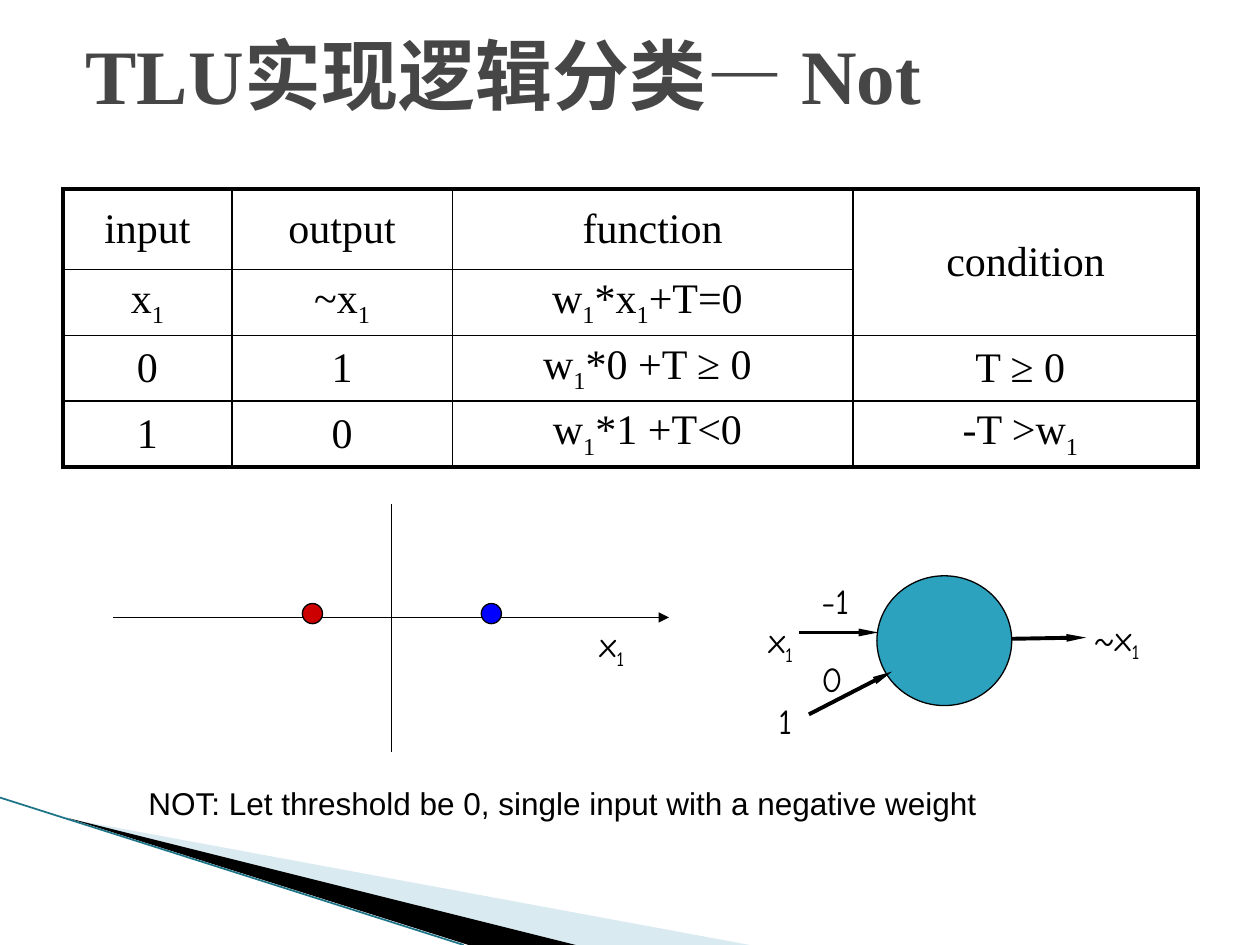
from lxml.etree import SubElement
from pptx import Presentation
from pptx.dml.color import RGBColor
from pptx.enum.shapes import MSO_CONNECTOR, MSO_SHAPE
from pptx.enum.text import MSO_ANCHOR, MSO_AUTO_SIZE, PP_ALIGN
from pptx.oxml import parse_xml
from pptx.oxml.ns import nsdecls, qn
from pptx.util import Pt

PX = 9144
hue = RGBColor.from_string


def write(frame, text, size, face, color="000000", align=PP_ALIGN.LEFT):
    para = frame.paragraphs[0]
    para.alignment = align
    head, *tails = text.split("_")
    para.add_run().text = head
    for tail in tails:
        sub = para.add_run()
        sub.text = tail[0]
        sub._r.get_or_add_rPr().set("baseline", "-25000")
        if tail[1:]:
            para.add_run().text = tail[1:]
    para.font.size = Pt(size)
    para.font.name = face
    para.font.color.rgb = hue(color)
    return para


def draw(home, ends, width, color="000000", tip=None):
    wire = home.add_connector(MSO_CONNECTOR.STRAIGHT, *[v * PX for v in ends])
    wire.line.width = Pt(width)
    wire.line.color.rgb = hue(color)
    if tip:
        wide, long = tip
        SubElement(wire.line._get_or_add_ln(), qn("a:tailEnd"),
                   type="triangle", w=wide, len=long)
    SubElement(wire._element.spPr, qn("a:effectLst"))


deck = Presentation()
deck.slide_width, deck.slide_height = 1000 * PX, 750 * PX
slide = deck.slides.add_slide(deck.slide_layouts[5])
shapes = slide.shapes

for points, color, alpha in [
    ([(55, 650), (595, 750), (456, 750)], "A0CBDC", 40),
    ([(53, 649), (457, 750), (372, 750)], "000000", 100),
]:
    pen = shapes.build_freeform(*points[0], scale=PX)
    pen.add_line_segments(points[1:])
    wedge = pen.convert_to_shape()
    wedge.shadow.inherit = False
    wedge.line.fill.background()
    wedge.fill.solid()
    wedge.fill.fore_color.rgb = hue(color)
    if alpha < 100:
        tint = wedge._element.spPr.find(".//" + qn("a:srgbClr"))
        SubElement(tint, qn("a:alpha"), val=str(alpha * 1000))
draw(shapes, (0, 633, 368, 750), 1, "1D7388")

title = shapes.title
title.left, title.top, title.width, title.height = [v * PX for v in (58, 33, 850, 51)]
title.text_frame.auto_size = MSO_AUTO_SIZE.NONE
title.text_frame.vertical_anchor = MSO_ANCHOR.MIDDLE
para = write(title.text_frame, "TLU实现逻辑分类— Not", 44, "Times New Roman", "464646")
para.font.bold = True

rows = [
    ["input", "output", "function", "condition"],
    ["x_1", "~x_1", "w_1*x_1+T=0 ", ""],
    ["0", "1", "w_1*0 +T ≥ 0 ", "T ≥ 0 "],
    ["1", "0", "w_1*1 +T<0 ", "-T >w_1 "],
]
table = shapes.add_table(4, 4, 50 * PX, 150 * PX, 901 * PX, 214 * PX).table
table.first_row = table.horz_banding = False
for col, width in zip(table.columns, (134, 175, 318, 274)):
    col.width = width * PX
for row, height in zip(table.rows, (64, 50, 50, 50)):
    row.height = height * PX
table.cell(0, 3).merge(table.cell(1, 3))
for r, row in enumerate(rows):
    for c, text in enumerate(row):
        cell = table.cell(r, c)
        cell.vertical_anchor = MSO_ANCHOR.MIDDLE
        edges = {"L": c == 0, "R": c == 3, "T": r == 0, "B": r == 3}
        for side, outer in edges.items():
            width = Pt(2.25 if outer else 1)
            cell._tc.get_or_add_tcPr().append(parse_xml(
                f'<a:ln{side} {nsdecls("a")} w="{width}"><a:solidFill>'
                f'<a:srgbClr val="000000"/></a:solidFill></a:ln{side}>'))
        cell.fill.background()
        if text:
            write(cell.text_frame, text, 24, "Times New Roman", align=PP_ALIGN.CENTER)

plot = shapes.add_group_shape().shapes
draw(plot, (90, 490, 531, 490), 0.75, tip=("med", "med"))
draw(shapes, (311, 400, 311, 597), 0.75)
unit = shapes.add_group_shape().shapes

for home, place, color in [
    (plot, (382, 479, 16, 16), "0000FF"),
    (plot, (240, 479, 16, 16), "CC0000"),
    (unit, (696, 457, 107, 103), "2DA2BF"),
]:
    disc = home.add_shape(MSO_SHAPE.OVAL, *[v * PX for v in place])
    disc.shadow.inherit = False
    disc.fill.solid()
    disc.fill.fore_color.rgb = hue(color)
    disc.line.color.rgb = hue("000000")
    disc.line.width = Pt(0.75)

for ends in [(634, 502, 697, 502), (803, 507, 862, 506), (642, 567, 708, 533)]:
    draw(unit, ends, 2.25, tip=("sm", "lg"))

for home, text, place, inset in [
    (plot, "x_1", (476, 494, 61, 35), False),
    (unit, "x_1", (610, 491, 61, 35), False),
    (unit, "0", (642, 517, 78, 43), True),
    (unit, "-1", (642, 455, 67, 43), True),
    (unit, "~x_1", (858, 484, 76, 43), True),
    (unit, "1", (608, 550, 78, 43), True),
]:
    frame = home.add_textbox(*[v * PX for v in place]).text_frame
    frame.word_wrap = True
    if not inset:
        frame.margin_left = frame.margin_right = 0
        frame.margin_top = frame.margin_bottom = 0
    write(frame, text, 20, "Comic Neue")

note = shapes.add_textbox(108 * PX, 617 * PX, 680 * PX, 40 * PX).text_frame
note.word_wrap = False
write(note, "NOT: Let threshold be 0, single input with a negative weight", 18, "Arial")

deck.save("out.pptx")
